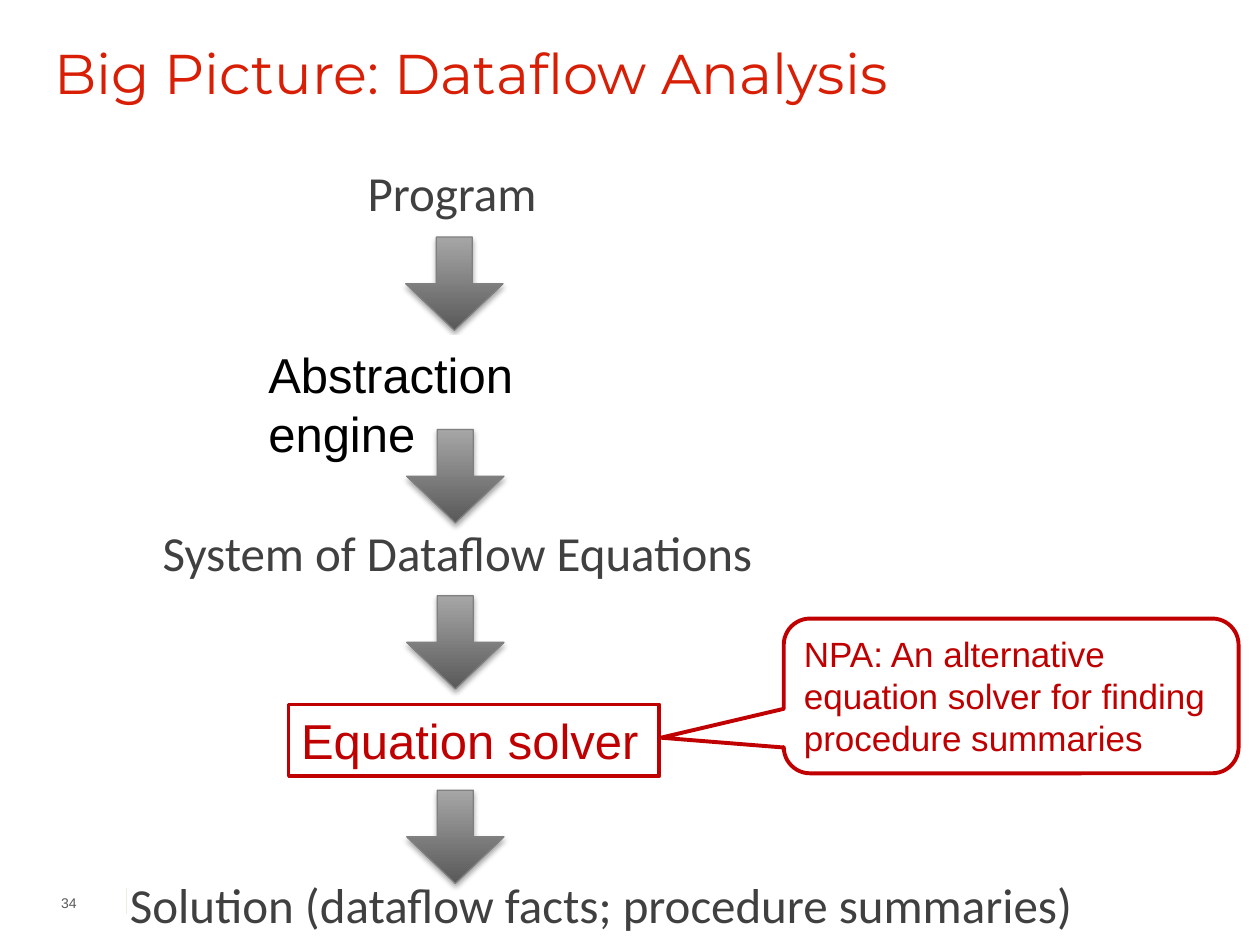
from lxml import etree
from pptx import Presentation, util as u
from pptx.dml.color import RGBColor
from pptx.enum import shapes, text
from pptx.oxml import ns


def color(value):
    return RGBColor.from_string(value)


class FlowPage:
    """Hold the style and the current slide, and draw each kind of element."""

    RED, GREY, DARK, LIGHT = "C00000", "404040", "595959", "A6A6A6"
    SHAPE = shapes.MSO_SHAPE
    ANCHOR = text.MSO_ANCHOR

    def __init__(self, deck):
        self.page = deck.slides.add_slide(deck.slide_layouts[5])

    def set_words(self, box, words, size, font, ink, align=text.PP_ALIGN.LEFT,
                  anchor=text.MSO_ANCHOR.TOP, insets=(0.25, 0.13, 0.25, 0.13)):
        frame = box.text_frame
        frame.word_wrap = True
        frame.auto_size = text.MSO_AUTO_SIZE.NONE
        frame.vertical_anchor = anchor
        (frame.margin_left, frame.margin_top,
         frame.margin_right, frame.margin_bottom) = map(u.Cm, insets)
        para = frame.paragraphs[0]
        para.alignment = align
        span = para.add_run()
        span.text = words
        span.font.size = u.Pt(size)
        span.font.name = font
        span.font.color.rgb = color(ink)

    def title(self, words, place):
        box = self.page.shapes.title
        box.left, box.top, box.width, box.height = map(u.Cm, place)
        self.set_words(box, words, 32, "Montserrat", "D81E05")

    def label(self, words, place, size=28, font="Calibri", ink=GREY, **layout):
        box = self.page.shapes.add_textbox(*map(u.Cm, place))
        self.set_words(box, words, size, font, ink, **layout)

    def outline(self, kind, place, line, width, fill=None):
        box = self.page.shapes.add_shape(kind, *map(u.Cm, place))
        box.shadow.inherit = False
        if fill:
            box.fill.solid()
            box.fill.fore_color.rgb = color(fill)
        else:
            box.fill.background()
        box.line.color.rgb = color(line)
        box.line.width = u.Pt(width)
        return box

    def engine(self, words, place, ink, line, width, fill=None):
        box = self.outline(self.SHAPE.RECTANGLE, place, line, width, fill)
        self.set_words(box, words, 28, "Arial", ink)

    def callout(self, words, place, adjustments):
        box = self.outline(self.SHAPE.ROUNDED_RECTANGULAR_CALLOUT, place, self.RED, 2.25)
        for index, value in enumerate(adjustments):
            box.adjustments[index] = value
        self.set_words(box, words, 20, "Arial", self.RED, anchor=self.ANCHOR.MIDDLE)

    def arrow(self, left, top):
        box = self.outline(self.SHAPE.DOWN_ARROW, (left, top, 1.96, 1.88), "808080", 0.75)
        box.adjustments[0] = 0.37
        box.adjustments[1] = 0.5
        box.fill.gradient()
        box.fill.gradient_angle = 90
        for stop, shade, position in zip(box.fill.gradient_stops,
                                         (self.DARK, self.LIGHT), (0, 1)):
            stop.color.rgb = color(shade)
            stop.position = position
        effects = box._element.spPr.find(ns.qn("a:effectLst"))
        shadow = etree.SubElement(effects, ns.qn("a:outerShdw"), blurRad="40000",
                                  dist="23000", dir="5400000", rotWithShape="0")
        black = etree.SubElement(shadow, ns.qn("a:srgbClr"), val="000000")
        etree.SubElement(black, ns.qn("a:alpha"), val="35000")

    def rule(self, ends):
        line = self.page.shapes.add_connector(shapes.MSO_CONNECTOR.STRAIGHT, *map(u.Cm, ends))
        line.line.color.rgb = color("EEECE1")
        line.line.width = u.Pt(0.25)
        etree.SubElement(line._element.spPr, ns.qn("a:effectLst"))


def main():
    deck = Presentation()
    deck.slide_width, deck.slide_height = u.Cm(25.4), u.Cm(19.05)
    flow = FlowPage(deck)
    flat = (0, 0, 0, 0)

    flow.rule((2.54, 17.91, 2.54, 18.42))
    flow.title("Big Picture: Dataflow Analysis", (0.84, 0.64, 23.93, 2.34))
    for left, top in ((8.18, 4.78), (8.2, 8.66), (8.2, 12.01), (8.2, 15.93)):
        flow.arrow(left, top)
    flow.label("Program", (7.16, 3.15, 4.22, 1.37))
    flow.engine("Abstraction engine", (5.16, 6.81, 8.13, 1.45),
                "000000", "FFFFFF", 3, "FFFFFF")
    flow.label("System of Dataflow Equations", (3.28, 10.54, 11.94, 1.37), insets=flat)
    flow.engine("Equation solver", (5.82, 14.2, 7.47, 1.45), flow.RED, flow.RED, 2)
    flow.callout("NPA: An alternative equation solver for finding procedure summaries",
                 (15.8, 12.47, 9.17, 3.12), (-0.77, 0.27, 0.17))
    flow.label("34", (0.84, 17.78, 0.84, 0.84), 8, "Arial", flow.DARK,
               align=text.PP_ALIGN.RIGHT, anchor=flow.ANCHOR.MIDDLE,
               insets=(0, 0.13, 0.13, 0.13))
    flow.label("Solution (dataflow facts; procedure summaries)",
               (2.62, 17.63, 19.3, 1.37), insets=flat)
    deck.save("out.pptx")


if __name__ == "__main__":
    main()
